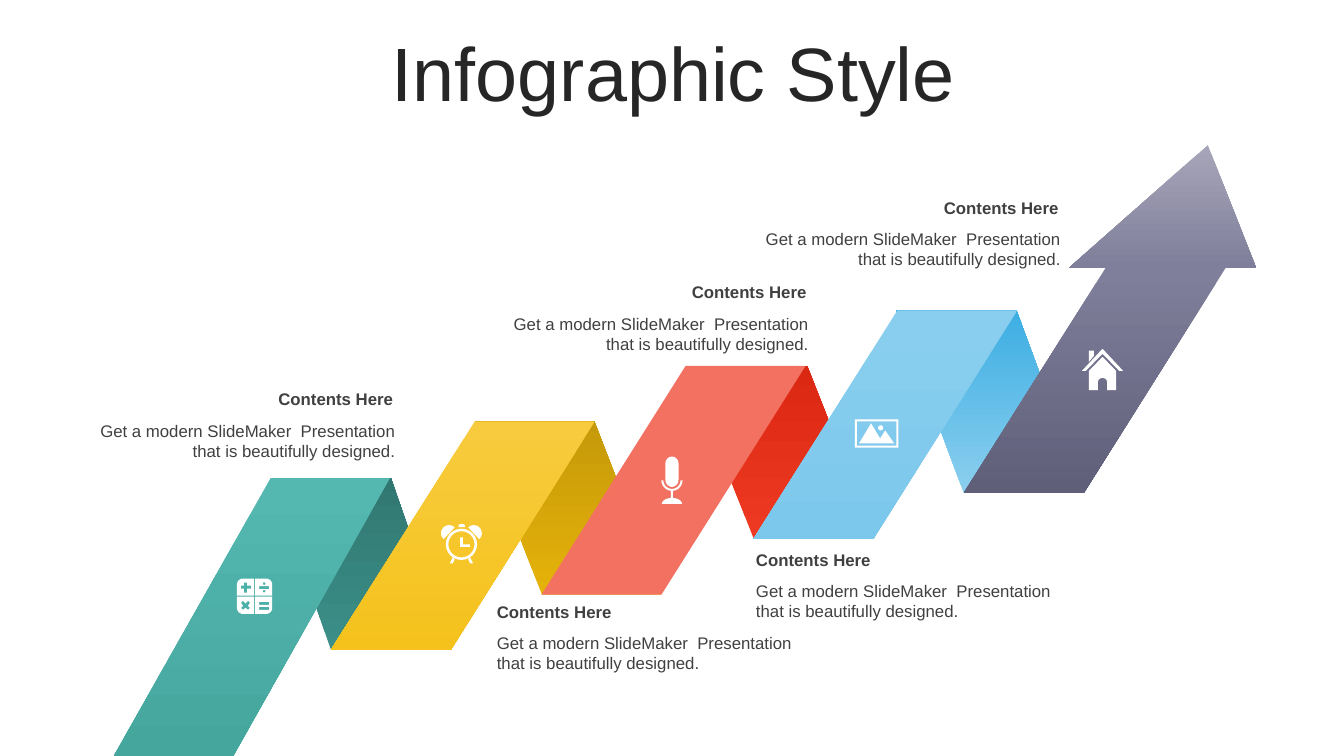
from dataclasses import dataclass
from math import cos, radians, sin

from pptx import Presentation
from pptx.dml.color import RGBColor
from pptx.enum.shapes import MSO_SHAPE
from pptx.enum.text import MSO_ANCHOR, MSO_AUTO_SIZE, PP_ALIGN
from pptx.oxml.ns import qn
from pptx.util import Inches, Pt

LEFT, CENTER, RIGHT = PP_ALIGN.LEFT, PP_ALIGN.CENTER, PP_ALIGN.RIGHT
MIDDLE, TOP = MSO_ANCHOR.MIDDLE, MSO_ANCHOR.TOP
NO_FIT, GROW = MSO_AUTO_SIZE.NONE, MSO_AUTO_SIZE.SHAPE_TO_FIT_TEXT
PARALLELOGRAM, TRIANGLE = MSO_SHAPE.PARALLELOGRAM, MSO_SHAPE.ISOSCELES_TRIANGLE
TITLE_ONLY_LAYOUT = 5

Points = list[tuple[float, float]]


@dataclass(frozen=True)
class Theme:
    font: str = "Arial"
    title_size: int = 54
    caption_size: int = 12
    title: str = "262626"
    caption: str = "404040"
    icon: str = "FFFFFF"
    teal: tuple = ("54B8B0", "45A69E")
    teal_fold: tuple = ("3B8F88", "317771")
    yellow: tuple = ("F7CB3D", "F5C21C")
    yellow_fold: tuple = ("E5B20A", "C59909")
    red: tuple = ("F27161",)
    red_fold: tuple = ("ED3922", "DB2812")
    blue: tuple = ("89CEEE", "7CC8EC")
    blue_fold: tuple = ("89CEEE", "3DAEE3")
    purple: tuple = ("807F9B", "605F7A")
    arrowhead: tuple = ("A5A4B8", "807F9B")


THEME = Theme()


@dataclass(frozen=True)
class Panel:
    left: float
    top: float
    width: float
    height: float
    slant: float
    colors: tuple
    kind: MSO_SHAPE = PARALLELOGRAM
    flipped: bool = False


@dataclass(frozen=True)
class Caption:
    left: float
    top: float
    align: PP_ALIGN


PANELS = (
    Panel(2.69, 4.74, 1.78, 1.71, 0.347, THEME.teal_fold, flipped=True),
    Panel(4.71, 4.18, 1.85, 1.72, 0.387, THEME.yellow_fold, flipped=True),
    Panel(6.8, 3.63, 1.88, 1.71, 0.394, THEME.red_fold, flipped=True),
    Panel(8.89, 3.08, 1.86, 1.81, 0.369, THEME.blue_fold, flipped=True),
    Panel(1.13, 4.74, 2.74, 2.76, 0.568, THEME.teal),
    Panel(3.28, 4.18, 2.62, 2.27, 0.63, THEME.yellow),
    Panel(5.37, 3.63, 2.62, 2.27, 0.63, THEME.red),
    Panel(7.47, 3.08, 2.62, 2.27, 0.63, THEME.blue),
    Panel(9.56, 2.62, 2.62, 2.27, 0.63, THEME.purple),
    Panel(10.6, 1.44, 1.86, 1.22, 0.742, THEME.arrowhead, kind=TRIANGLE),
)

CAPTIONS = (
    Caption(0.59, 3.81, RIGHT),
    Caption(4.83, 5.92, LEFT),
    Caption(4.69, 2.75, RIGHT),
    Caption(7.4, 5.4, LEFT),
    Caption(7.19, 1.91, RIGHT),
)
CAPTION_HEADING = "Contents Here"
CAPTION_BODY = "Get a modern SlideMaker  Presentation that is beautifully designed."


def arc(x: float, y: float, radius_x: float, radius_y: float, start: int, end: int) -> Points:
    """Points along an ellipse, with angles in degrees clockwise from the right."""
    steps = 24
    angles = [radians(start + (end - start) * step / steps) for step in range(steps + 1)]
    return [(x + radius_x * cos(angle), y + radius_y * sin(angle)) for angle in angles]


def disc(x: float, y: float, radius: float) -> Points:
    return arc(x, y, radius, radius, 0, 360)


def rectangle(left: float, top: float, right: float, bottom: float) -> Points:
    return [(left, top), (right, top), (right, bottom), (left, bottom)]


def mirror_x(points: Points, axis: float) -> Points:
    return [(2 * axis - x, y) for x, y in points]


def mirror_y(points: Points, axis: float) -> Points:
    return [(x, 2 * axis - y) for x, y in points]


def calculator() -> list[Points]:
    middle_x, middle_y = 2.525, 5.915
    tile = arc(2.41, 5.8, 0.06, 0.06, 180, 270) + [(2.52, 5.74), (2.52, 5.91), (2.35, 5.91)]
    tiles = [tile, mirror_x(tile, middle_x)]
    tiles += [mirror_y(points, middle_y) for points in tiles]
    plus = [(2.42, 5.78), (2.45, 5.78), (2.45, 5.81), (2.49, 5.81), (2.49, 5.84), (2.45, 5.84),
            (2.45, 5.88), (2.42, 5.88), (2.42, 5.84), (2.39, 5.84), (2.39, 5.81), (2.42, 5.81)]
    times = [(2.41, 5.96), (2.435, 5.985), (2.46, 5.96), (2.48, 5.98), (2.46, 6.01), (2.48, 6.03),
             (2.46, 6.05), (2.435, 6.03), (2.41, 6.05), (2.39, 6.03), (2.41, 6.01), (2.39, 5.98)]
    bars = [rectangle(2.57, top, 2.67, top + 0.03) for top in (5.815, 5.97, 6.02)]
    dots = [disc(2.62, y, 0.013) for y in (5.79, 5.865)]
    return tiles + [plus, times] + bars + dots


def alarm_clock() -> list[Points]:
    middle = 4.577
    bell = arc(4.455, 5.29, 0.08, 0.08, -47, -227)
    leg = [(4.51, 5.55), (4.49, 5.59), (4.46, 5.59), (4.49, 5.53)]
    button = [(4.55, 5.23), (4.55, 5.21), (4.56, 5.2), (4.6, 5.2), (4.61, 5.21), (4.61, 5.23)]
    hands = [(4.565, 5.33), (4.59, 5.33), (4.59, 5.4), (4.66, 5.4), (4.66, 5.425), (4.565, 5.425)]
    return [disc(middle, 5.4, 0.155), disc(middle, 5.4, 0.13), hands, button,
            bell, mirror_x(bell, middle), leg, mirror_x(leg, middle)]


def microphone() -> list[Points]:
    middle = 6.665
    capsule = arc(middle, 4.6, 0.065, 0.07, 180, 360) + arc(middle, 4.76, 0.065, 0.07, 0, 180)
    cradle = arc(middle, 4.765, 0.105, 0.105, 0, 180) + arc(middle, 4.765, 0.085, 0.085, 180, 0)
    stem = rectangle(middle - 0.01, 4.87, middle + 0.01, 4.94)
    return [capsule, cradle, stem, arc(middle, 5, 0.1, 0.06, 180, 360)]


def landscape() -> list[Points]:
    mountains = [(8.64, 4.2), (8.73, 4.35), (8.78, 4.27), (8.87, 4.4), (8.52, 4.4)]
    return [rectangle(8.48, 4.16, 8.91, 4.44), rectangle(8.5, 4.18, 8.89, 4.42),
            mountains, disc(8.735, 4.245, 0.025)]


def house() -> list[Points]:
    door = arc(10.935, 3.79, 0.045, 0.04, 360, 180)
    walls = [(10.8, 3.68), (10.935, 3.54), (11.07, 3.68), (11.07, 3.87), (10.98, 3.87)]
    walls += door + [(10.89, 3.87), (10.8, 3.87)]
    roof = [(10.73, 3.68), (10.935, 3.46), (11.14, 3.68), (11.1, 3.68), (10.935, 3.51), (10.77, 3.68)]
    return [walls, roof, [(10.8, 3.48), (10.85, 3.48), (10.85, 3.53), (10.8, 3.59)]]


def paint(shape, colors: tuple) -> None:
    """Fill with one colour, or with a gradient running down from the first colour."""
    shape.shadow.inherit = False
    shape.line.fill.background()
    if len(colors) == 1:
        shape.fill.solid()
        shape.fill.fore_color.rgb = RGBColor.from_string(colors[0])
        return
    shape.fill.gradient()
    shape.fill.gradient_angle = 270
    for stop, position, color in zip(shape.fill.gradient_stops, (0.02, 1), colors):
        stop.position = position
        stop.color.rgb = RGBColor.from_string(color)


def add_panel(slide, panel: Panel) -> None:
    shape = slide.shapes.add_shape(panel.kind, Inches(panel.left), Inches(panel.top),
                                   Inches(panel.width), Inches(panel.height))
    shape.adjustments[0] = panel.slant
    paint(shape, panel.colors)
    if panel.flipped:
        shape.element.spPr.find(qn("a:xfrm")).set("flipV", "1")


def add_icon(slide, contours: list[Points]) -> None:
    scaled = [[(Inches(x), Inches(y)) for x, y in points] for points in contours]
    builder = slide.shapes.build_freeform(*scaled[0][0])
    for points in scaled:
        builder.move_to(*points[0])
        builder.add_line_segments(points[1:], close=True)
    paint(builder.convert_to_shape(), (THEME.icon,))


def write_text(shape, text: str, *, size: int, color: str, align: PP_ALIGN, bold: bool = False,
               anchor: MSO_ANCHOR = TOP, fit: MSO_AUTO_SIZE = GROW, line_spacing: float = 1.0,
               right_inset: float = 0.1) -> None:
    frame = shape.text_frame
    frame.word_wrap, frame.auto_size, frame.vertical_anchor = True, fit, anchor
    frame.margin_right = Inches(right_inset)
    paragraph = frame.paragraphs[0]
    paragraph.alignment, paragraph.line_spacing = align, line_spacing
    run = paragraph.add_run()
    run.text = text
    run.font.name, run.font.size, run.font.bold = THEME.font, Pt(size), bold
    run.font.color.rgb = RGBColor.from_string(color)


def add_caption(slide, caption: Caption) -> None:
    group = slide.shapes.add_group_shape()
    style = {"size": THEME.caption_size, "color": THEME.caption, "align": caption.align}
    left, width = Inches(caption.left), Inches(3.43)
    heading = group.shapes.add_textbox(left, Inches(caption.top), width, Inches(0.3))
    write_text(heading, CAPTION_HEADING, bold=True, right_inset=0.12, **style)
    body = group.shapes.add_textbox(left, Inches(caption.top + 0.31), width, Inches(0.5))
    write_text(body, CAPTION_BODY, **style)


def main() -> None:
    presentation = Presentation()
    presentation.slide_width, presentation.slide_height = Inches(13.33), Inches(7.5)
    slide = presentation.slides.add_slide(presentation.slide_layouts[TITLE_ONLY_LAYOUT])
    title = slide.shapes.title
    title.left, title.top, title.width, title.height = map(Inches, (0.35, 0.37, 12.66, 0.79))
    write_text(title, "Infographic Style", size=THEME.title_size, color=THEME.title, align=CENTER,
               anchor=MIDDLE, fit=NO_FIT, line_spacing=0.9)
    for panel in PANELS:
        add_panel(slide, panel)
    for caption in CAPTIONS:
        add_caption(slide, caption)
    for icon in (calculator, alarm_clock, microphone, landscape, house):
        add_icon(slide, icon())
    presentation.save("out.pptx")


if __name__ == "__main__":
    main()
